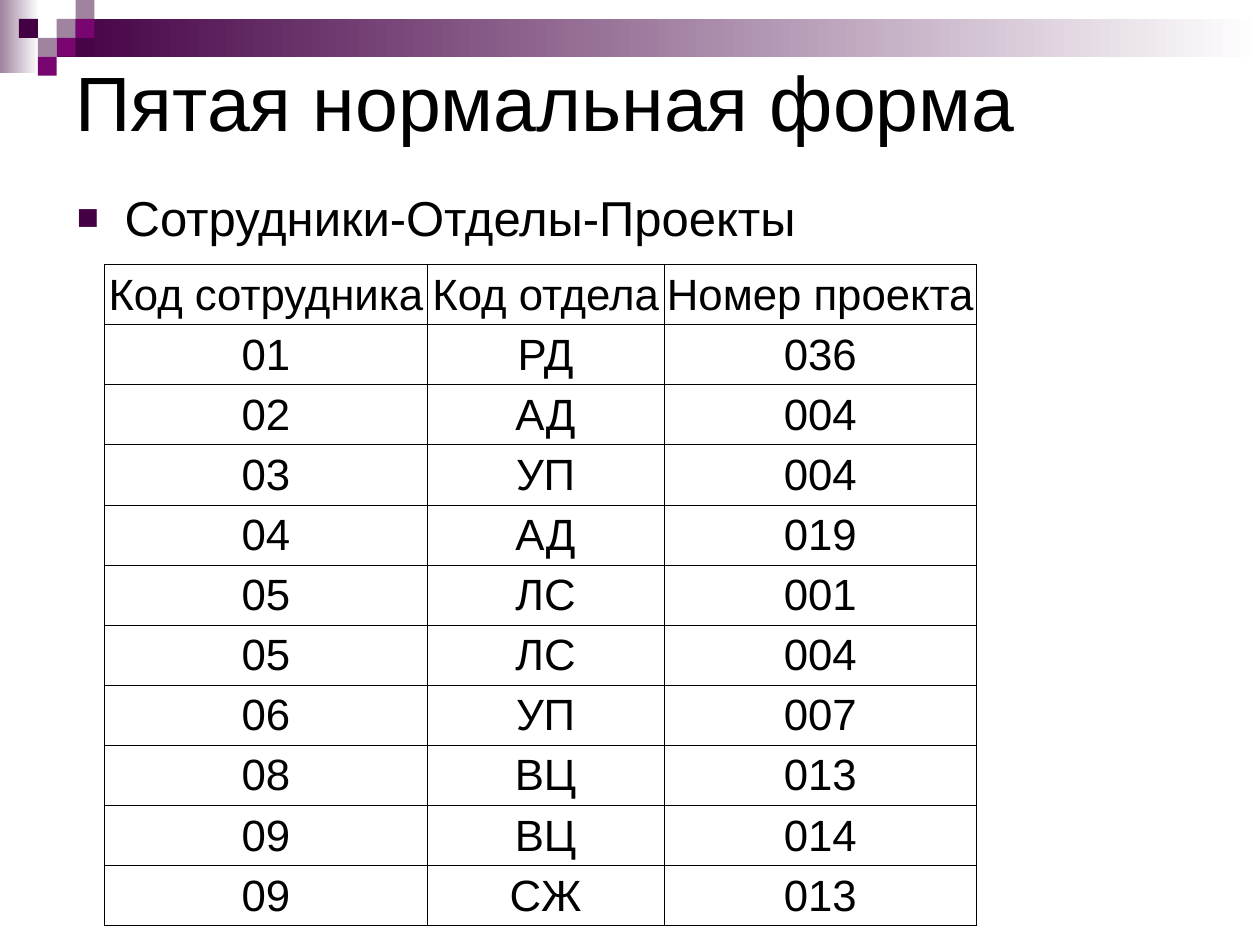
from dataclasses import dataclass

from lxml import etree
from pptx import Presentation
from pptx.dml.color import RGBColor
from pptx.enum.shapes import MSO_SHAPE
from pptx.enum.text import MSO_ANCHOR, PP_ALIGN
from pptx.oxml.ns import qn
from pptx.util import Inches, Pt

RECT = MSO_SHAPE.RECTANGLE
LEFT, CENTER = PP_ALIGN.LEFT, PP_ALIGN.CENTER
TOP, MIDDLE = MSO_ANCHOR.TOP, MSO_ANCHOR.MIDDLE


@dataclass
class Theme:
    font: str = "Arial"
    ink: str = "000000"
    dark: str = "440044"
    bright: str = "790571"
    pale: str = "9F839F"
    white: str = "FFFFFF"
    title: float = 44
    body: float = 28
    cell: float = 25
    thick: float = 1.08
    thin: float = 0.45


theme = Theme()


def add_rect(x, y, w, h, *tones):
    """Draw a borderless block: one tone is solid, two make a gradient."""
    block = slide.shapes.add_shape(RECT, Inches(x), Inches(y), Inches(w), Inches(h))
    block.shadow.inherit = False
    block.line.fill.background()
    if len(tones) == 1:
        block.fill.solid()
        block.fill.fore_color.rgb = RGBColor.from_string(tones[0])
        return
    block.fill.gradient()
    block.fill.gradient_angle = 0
    for stop, tone, place in zip(block.fill.gradient_stops, tones, (0, 1)):
        stop.color.rgb = RGBColor.from_string(tone)
        stop.position = place


def set_text(frame, text, size, align):
    frame.text = text
    para = frame.paragraphs[0]
    para.alignment = align
    para.space_before = Pt(0)
    font = para.runs[0].font
    look = {"name": theme.font, "size": Pt(size), "bold": False}
    for key, value in look.items():
        setattr(font, key, value)
    font.color.rgb = RGBColor.from_string(theme.ink)


deck = Presentation()
deck.slide_width, deck.slide_height = Inches(10), Inches(7.5)
slide = deck.slides.add_slide(deck.slide_layouts[1])

# Header bands and the checker of small squares
add_rect(0, 0, 0.31, 0.58, theme.pale, theme.white)
add_rect(0.45, 0.15, 9.55, 0.3, theme.dark, theme.white)
side = 0.15
squares = [
    (3, 1, theme.pale), (4, 0, theme.pale), (4, 1, theme.bright),
    (2, 2, theme.pale), (1, 1, theme.dark), (3, 2, theme.bright),
    (2, 3, theme.bright),
]
for col, row, tone in squares:
    add_rect(col * side, row * side, side, side, tone)

# Title and list, raised above the header
title, body = slide.shapes.title, slide.placeholders[1]
texts = [
    (title, (0.5, 0.05, 9, 1.5), "Пятая нормальная форма", theme.title, MIDDLE, 0.05),
    (body, (0.51, 1.39, 7.89, 4.25), "Сотрудники-Отделы-Проекты", theme.body, TOP, 0.1),
]
for holder, box, text, size, anchor, inset in texts:
    for key, value in zip(("left", "top", "width", "height"), box):
        setattr(holder, key, Inches(value))
    set_text(holder.text_frame, text, size, LEFT)
    holder.text_frame.vertical_anchor = anchor
    holder.text_frame.margin_top = Inches(inset)
    slide.shapes._spTree.append(holder._element)

props = body.text_frame.paragraphs[0]._p.get_or_add_pPr()
props.set("marL", str(Inches(0.38)))
props.set("indent", str(Inches(-0.38)))
tint = etree.SubElement(props, qn("a:buClr"))
etree.SubElement(tint, qn("a:srgbClr"), val=theme.dark)
etree.SubElement(props, qn("a:buSzPct"), val="75000")
etree.SubElement(props, qn("a:buFont"), typeface=theme.font)
etree.SubElement(props, qn("a:buChar"), char="■")

# Table of staff, departments and projects
rows = [
    ("Код сотрудника", "Код отдела", "Номер проекта"),
    ("01", "РД", "036"),
    ("02", "АД", "004"),
    ("03", "УП", "004"),
    ("04", "АД", "019"),
    ("05", "ЛС", "001"),
    ("05", "ЛС", "004"),
    ("06", "УП", "007"),
    ("08", "ВЦ", "013"),
    ("09", "ВЦ", "014"),
    ("09", "СЖ", "013"),
]
widths = (2.56, 1.88, 2.48)
table = slide.shapes.add_table(
    len(rows), len(widths), Inches(0.83), Inches(2.1), Inches(sum(widths)), Inches(5.02)
).table
table.first_row = table.horz_banding = False
for col, width in zip(table.columns, widths):
    col.width = Inches(width)

pads = {"margin_left": 0.02, "margin_right": 0.02, "margin_top": 0.05, "margin_bottom": 0.04}
for r, row in enumerate(rows):
    for c, text in enumerate(row):
        cell = table.cell(r, c)
        set_text(cell.text_frame, text, theme.cell, CENTER)
        for key, value in pads.items():
            setattr(cell, key, Inches(value))
        outer = {
            "L": c == 0, "R": c == len(widths) - 1,
            "T": r == 0, "B": r == len(rows) - 1,
        }
        for edge, rim in outer.items():
            width = Pt(theme.thick if rim else theme.thin)
            line = etree.SubElement(cell._tc.get_or_add_tcPr(), qn("a:ln" + edge), w=str(width))
            paint = etree.SubElement(line, qn("a:solidFill"))
            etree.SubElement(paint, qn("a:srgbClr"), val=theme.ink)
        cell.fill.background()

deck.save("out.pptx")
